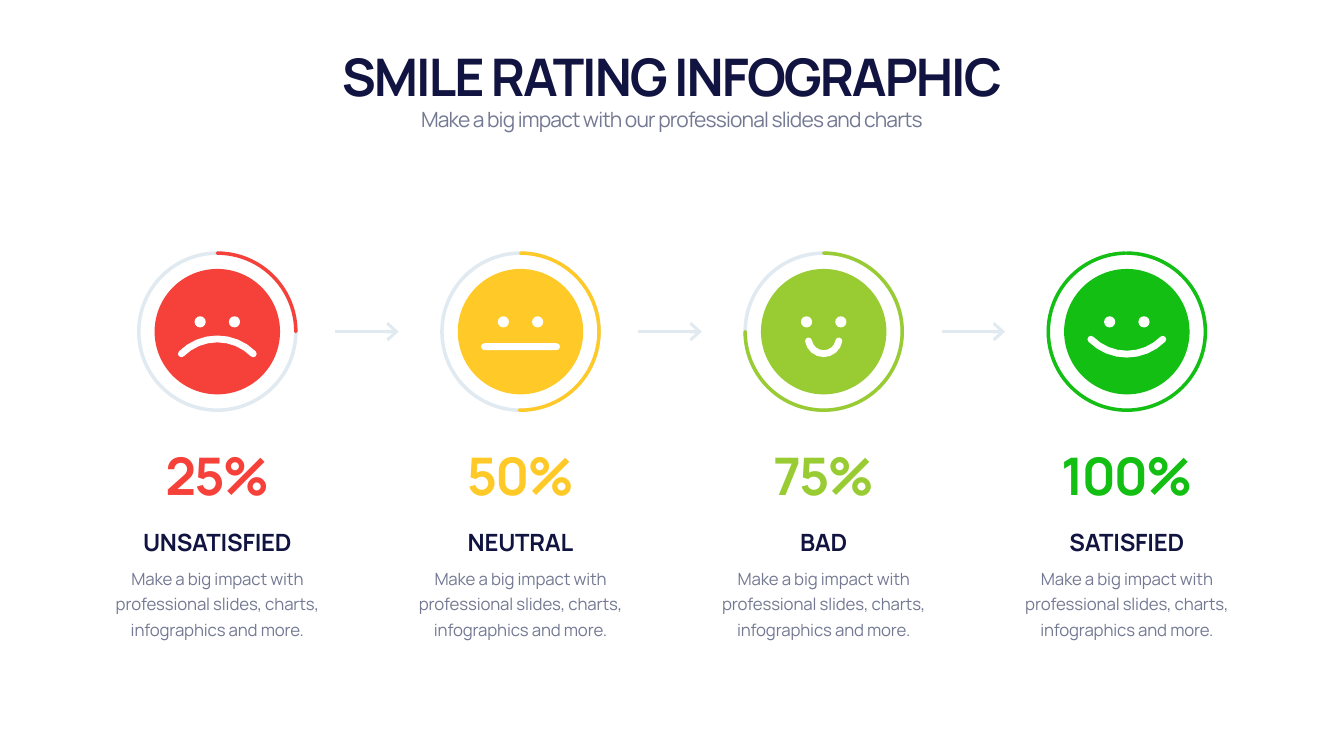
from math import cos, radians, sin

from lxml import etree
from pptx import Presentation
from pptx.dml.color import RGBColor
from pptx.enum.shapes import MSO_CONNECTOR, MSO_SHAPE
from pptx.enum.text import MSO_ANCHOR, MSO_AUTO_SIZE, PP_ALIGN
from pptx.oxml.ns import qn
from pptx.util import Pt

STRAIGHT = MSO_CONNECTOR.STRAIGHT
OVAL, ARC = MSO_SHAPE.OVAL, MSO_SHAPE.ARC
TOP, MIDDLE, BOTTOM = MSO_ANCHOR.TOP, MSO_ANCHOR.MIDDLE, MSO_ANCHOR.BOTTOM
GROW, CENTER = MSO_AUTO_SIZE.SHAPE_TO_FIT_TEXT, PP_ALIGN.CENTER

NAVY, GREY, PALE, WHITE = "111340", "747993", "E0EAF0", "FFFFFF"
FIRST_X, PITCH, FACE_Y = 310.4, 433, 473.8
FACE_RADIUS, RING_RADIUS, RING_WIDTH = 89.6, 112.2, 5
EYE_RADIUS, EYE_DX, EYE_DY = 8, 24.5, -14
MOUTH_HALF_WIDTH = 4.9
EYE_STEPS, MOUTH_STEPS, CAP_STEPS = 12, 8, 4
COLUMN_WIDTH = 350
ARC_UNITS_PER_DEGREE = 0.6

HEADING = {"size": Pt(74), "bold": True, "color": NAVY, "spacing": -290}
SUBTITLE = {"size": Pt(30), "bold": False, "color": GREY, "spacing": -120}
LABEL = {"size": Pt(34), "bold": True, "color": NAVY, "spacing": -30}
BODY = {"size": Pt(24), "bold": False, "color": GREY, "spacing": -20}
DESCRIPTION = "Make a big impact with professional slides, charts, infographics and more."

# Curved mouths: radius, centre below the face centre, start and end angle.
FROWN = (72.6, 83, 225, 315)
SMALL_SMILE = (22, 9.4, 10, 170)
SMILE = (72.6, -40.5, 45, 135)
FLAT_MOUTH_HALF_LENGTH, FLAT_MOUTH_DY = 51.5, 21.4

# Name, percentage, colour, mouth (None is flat), end angle of the progress arc.
RATINGS = [
    ("UNSATISFIED", "25%", "F5413A", FROWN, 0),
    ("NEUTRAL", "50%", "FFC927", None, 90.88),
    ("BAD", "75%", "99CC33", SMALL_SMILE, 180),
    ("SATISFIED", "100%", "13BF13", SMILE, 268.77),
]


def rgb(value):
    return RGBColor.from_string(value)


def write_text(shape, text, style, box, anchor=TOP, line_spacing=None):
    """Place a text shape at box (left, top, width, height) and fill it."""
    for name, length in zip(("left", "top", "width", "height"), box):
        setattr(shape, name, Pt(length))
    frame = shape.text_frame
    frame.word_wrap = True
    frame.auto_size = GROW
    frame.vertical_anchor = anchor
    paragraph = frame.paragraphs[0]
    paragraph.alignment = CENTER
    if line_spacing:
        paragraph.line_spacing = Pt(line_spacing)
    run = paragraph.add_run()
    run.text = text
    run.font.name = "Manrope"
    for name in ("size", "bold"):
        setattr(run.font, name, style[name])
    run.font.color.rgb = rgb(style["color"])
    run._r.get_or_add_rPr().set("spc", str(style["spacing"]))


def add_text(slide, *args, **options):
    write_text(slide.shapes.add_textbox(0, 0, 0, 0), *args, **options)


def add_round(slide, kind, x, radius, fill=None, line=None):
    """Add a circular shape centred on the row of faces."""
    shape = slide.shapes.add_shape(
        kind, Pt(x - radius), Pt(FACE_Y - radius), Pt(2 * radius), Pt(2 * radius))
    shape.shadow.inherit = False
    if fill:
        shape.fill.solid()
        shape.fill.fore_color.rgb = rgb(fill)
    else:
        shape.fill.background()
    if line:
        shape.line.color.rgb = rgb(line)
        shape.line.width = Pt(RING_WIDTH)
    else:
        shape.line.fill.background()
    return shape


def add_progress(slide, x, color, end):
    arc = add_round(slide, ARC, x, RING_RADIUS, line=color)
    arc.adjustments[0] = 270 * ARC_UNITS_PER_DEGREE
    arc.adjustments[1] = end * ARC_UNITS_PER_DEGREE
    arc.line._get_or_add_ln().set("cap", "rnd")


def arc_points(x, y, radius, start, end, steps):
    """Points along an arc, without its end, where the next arc begins."""
    angles = [radians(start + (end - start) * i / steps) for i in range(steps)]
    return [(Pt(x + radius * cos(a)), Pt(y + radius * sin(a))) for a in angles]


def mouth_outline(x, mouth):
    """Outline of a mouth with rounded ends."""
    half = MOUTH_HALF_WIDTH
    if mouth is None:
        y = FACE_Y + FLAT_MOUTH_DY
        outline = []
        for side, start in ((1, -90), (-1, 90)):
            end_x = x + side * FLAT_MOUTH_HALF_LENGTH
            # One step more keeps the end of the half circle.
            step = 180 / CAP_STEPS
            outline += arc_points(end_x, y, half, start, start + 180 + step,
                                  CAP_STEPS + 1)
        return outline
    radius, dy, start, end = mouth
    y = FACE_Y + dy

    def cap(angle, turn):
        end_x = x + radius * cos(radians(angle))
        end_y = y + radius * sin(radians(angle))
        return arc_points(end_x, end_y, half, angle + turn, angle + turn + 180,
                          CAP_STEPS)

    return (arc_points(x, y, radius + half, start, end, MOUTH_STEPS) + cap(end, 0)
            + arc_points(x, y, radius - half, end, start, MOUTH_STEPS)
            + cap(start, 180))


def add_features(slide, x, mouth):
    """Draw the mouth and both eyes as one white shape."""
    outlines = [mouth_outline(x, mouth)]
    for side in (1, -1):
        outlines.append(arc_points(x + side * EYE_DX, FACE_Y + EYE_DY,
                                   EYE_RADIUS, 0, 360, EYE_STEPS))
    builder = slide.shapes.build_freeform(*outlines[0][0])
    for outline in outlines:
        if outline is not outlines[0]:
            builder.move_to(*outline[0])
        builder.add_line_segments(outline[1:], close=True)
    features = builder.convert_to_shape()
    features.shadow.inherit = False
    features.fill.solid()
    features.fill.fore_color.rgb = rgb(WHITE)
    features.line.fill.background()


def add_arrow(slide, start, end):
    arrow = slide.shapes.add_connector(
        STRAIGHT, Pt(start), Pt(FACE_Y), Pt(end), Pt(FACE_Y))
    arrow.line.color.rgb = rgb(PALE)
    arrow.line.width = Pt(RING_WIDTH)
    etree.SubElement(arrow.line._get_or_add_ln(), qn("a:tailEnd"),
                     type="arrow", w="lg", len="med")
    etree.SubElement(arrow._element.spPr, qn("a:effectLst"))


def add_rating(slide, x, name, percentage, color, mouth, progress_end):
    add_round(slide, OVAL, x, FACE_RADIUS, fill=color)
    add_features(slide, x, mouth)
    add_round(slide, OVAL, x, RING_RADIUS, line=PALE)
    add_progress(slide, x, color, progress_end)
    left = x - COLUMN_WIDTH / 2
    add_text(slide, percentage, {**HEADING, "color": color},
             (left, 630, COLUMN_WIDTH, 97), anchor=MIDDLE)
    add_text(slide, name, LABEL, (left, 750, COLUMN_WIDTH, 48), anchor=BOTTOM)
    add_text(slide, DESCRIPTION, BODY, (left, 802, COLUMN_WIDTH, 114.5),
             line_spacing=36)


def main():
    deck = Presentation()
    deck.slide_width, deck.slide_height = Pt(1919.52), Pt(1080)
    slide = deck.slides.add_slide(deck.slide_layouts[5])
    write_text(slide.shapes.title, "SMILE RATING INFOGRAPHIC", HEADING,
               (119.5, 59, 1680, 97), anchor=BOTTOM)
    add_text(slide, "Make a big impact with our professional slides and charts",
             SUBTITLE, (119.5, 149, 1680, 44))
    for index, rating in enumerate(RATINGS):
        x = FIRST_X + index * PITCH
        add_rating(slide, x, *rating)
        if index < len(RATINGS) - 1:
            add_arrow(slide, x + 168.5, x + 259)
    deck.save("out.pptx")


if __name__ == "__main__":
    main()
